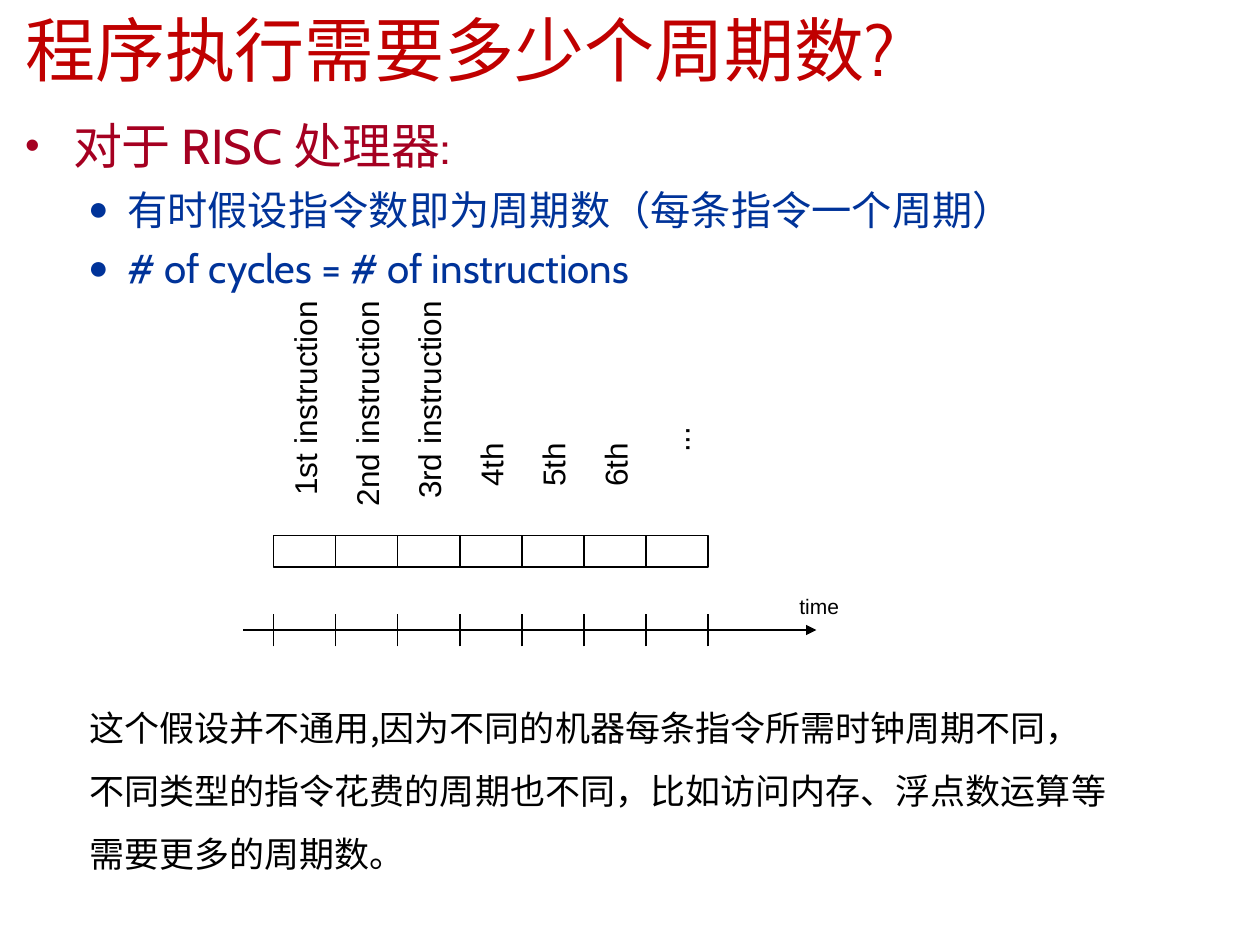
from lxml.etree import SubElement
from pptx import Presentation
from pptx.dml.color import RGBColor
from pptx.enum.shapes import MSO_CONNECTOR as Connector, MSO_SHAPE as Shape
from pptx.enum.text import PP_ALIGN as Align
from pptx.oxml.ns import qn
from pptx.util import Inches, Pt

BLACK = RGBColor(0x00, 0x00, 0x00)
WHITE = RGBColor(0xFF, 0xFF, 0xFF)
RED = RGBColor(0xC0, 0x00, 0x00)
CRIMSON = RGBColor(0xA5, 0x00, 0x21)
BLUE = RGBColor(0x00, 0x33, 0x99)

TITLE = "程序执行需要多少个周期数?"
BULLETS = [
    ("对于 RISC 处理器:", "•", 28, CRIMSON, 0.38, 0.38, 0),
    ("有时假设指令数即为周期数（每条指令一个周期）", "●", 23, BLUE, 0.81, 0.31, 5.8),
    ("# of cycles = # of instructions", "●", 23, BLUE, 0.81, 0.31, 5.8),
]
REMARKS = [
    "这个假设并不通用,因为不同的机器每条指令所需时钟周期不同，",
    "不同类型的指令花费的周期也不同，比如访问内存、浮点数运算等",
    "需要更多的周期数。",
]
LABELS = [
    ("1st instruction", 1.8, 3.27),
    ("2nd instruction", 1.8, 3.27),
    ("3rd instruction", 1.8, 3.27),
    ("4th", 0.67, 3.83),
    ("5th", 0.67, 3.83),
    ("6th", 0.67, 3.83),
    ("...", 0.67, 3.7),
]
CYCLES_LEFT, CYCLES_RIGHT = 2.17, 5.62
CYCLE = (CYCLES_RIGHT - CYCLES_LEFT) / len(LABELS)
AXIS_Y = 5


def add_box(s, left, top, width, height, inset_x=0.02, inset_y=0.03):
    """Add a wrapping text box and return it."""
    sp = s.shapes.add_textbox(Inches(left), Inches(top), Inches(width), Inches(height))
    tf = sp.text_frame
    tf.word_wrap = True
    tf.margin_left = tf.margin_right = Inches(inset_x)
    tf.margin_top = tf.margin_bottom = Inches(inset_y)
    return sp


def next_paragraph(tf, index):
    """Return the first paragraph for index 0, otherwise a new one."""
    return tf.add_paragraph() if index else tf.paragraphs[0]


def add_run(p, text, size, color, font="Cabin", east_asian="Cabin"):
    """Add a formatted run to a paragraph."""
    r = p.add_run()
    r.text = text
    r.font.size = Pt(size)
    r.font.color.rgb = color
    r.font.name = font
    SubElement(r.font._element, qn("a:ea"), typeface=east_asian)


def set_bullet(p, char, color, left, hanging):
    """Give a paragraph a coloured bullet with a hanging indent."""
    p_pr = p._p.get_or_add_pPr()
    p_pr.set("marL", str(Inches(left)))
    p_pr.set("indent", str(-Inches(hanging)))
    bullet_color = SubElement(p_pr, qn("a:buClr"))
    SubElement(bullet_color, qn("a:srgbClr"), val=str(color))
    SubElement(p_pr, qn("a:buSzPct"), val="85000")
    SubElement(p_pr, qn("a:buFont"), typeface="Arial")
    SubElement(p_pr, qn("a:buChar"), char=char)


def add_bullets(s):
    """Add the bulleted body text."""
    tf = add_box(s, 0, 0.77, 10, 6.73, 0.2, 0.15).text_frame
    for i, (text, char, size, color, left, hanging, before) in enumerate(BULLETS):
        p = next_paragraph(tf, i)
        set_bullet(p, char, color, left, hanging)
        p.level = 1 if i else 0
        p.space_before = Pt(before)
        add_run(p, text, size, color)


def add_remarks(s):
    """Add the closing remarks."""
    tf = add_box(s, 0.69, 5.41, 8.4, 1.56).text_frame
    for i, text in enumerate(REMARKS):
        p = next_paragraph(tf, i)
        p.line_spacing = 1.5
        add_run(p, text, 20, BLACK, "Noto Sans CJK SC")


def add_label(s, text, left, top, width, height, size, spacing, rotation=0):
    """Add a right-aligned diagram label."""
    sp = add_box(s, left, top, width, height)
    sp.rotation = rotation
    p = sp.text_frame.paragraphs[0]
    p.alignment = Align.RIGHT
    p.line_spacing = Pt(spacing)
    add_run(p, text, size, BLACK, "Arial", "Arial")


def add_line(s, x1, y1, x2, y2, arrow=False):
    """Add a thin black line, optionally ending in an arrowhead."""
    line = s.shapes.add_connector(
        Connector.STRAIGHT, Inches(x1), Inches(y1), Inches(x2), Inches(y2))
    line.line.color.rgb = BLACK
    line.line.width = Pt(1)
    if arrow:
        SubElement(line.line._get_or_add_ln(), qn("a:tailEnd"), type="triangle")
    SubElement(line._element.spPr, qn("a:effectLst"))


def add_cycle(s, left):
    """Add one cycle cell."""
    sp = s.shapes.add_shape(
        Shape.RECTANGLE, Inches(left), Inches(4.25), Inches(CYCLE), Inches(0.25))
    sp.shadow.inherit = False
    sp.fill.solid()
    sp.fill.fore_color.rgb = WHITE
    sp.line.color.rgb = BLACK
    sp.line.width = Pt(1)


def add_timeline(s):
    """Add the time axis, its ticks, the cycle cells and their labels."""
    add_label(s, "time", 5.91, 4.69, 0.77, 0.33, 12, 14)
    add_line(s, 1.93, AXIS_Y, 6.48, AXIS_Y, arrow=True)
    for i in range(len(LABELS) + 1):
        x = CYCLES_LEFT + i * CYCLE
        add_line(s, x, AXIS_Y + 0.13, x, AXIS_Y - 0.13)
    for i, (text, length, center_y) in enumerate(LABELS):
        left = CYCLES_LEFT + i * CYCLE
        center_x = left + 0.29
        add_label(s, text, center_x - length / 2, center_y - 0.215,
                  length, 0.43, 18, 21, rotation=270)
        add_cycle(s, left)


def main():
    """Build the slide and save it."""
    prs = Presentation()
    prs.slide_width, prs.slide_height = Inches(10), Inches(7.5)
    s = prs.slides.add_slide(prs.slide_layouts[6])
    title = add_box(s, 0, 0, 10, 0.77, 0.2, 0.05)
    add_run(title.text_frame.paragraphs[0], TITLE, 40, RED)
    add_bullets(s)
    add_remarks(s)
    add_timeline(s)
    prs.save("out.pptx")


if __name__ == "__main__":
    main()
